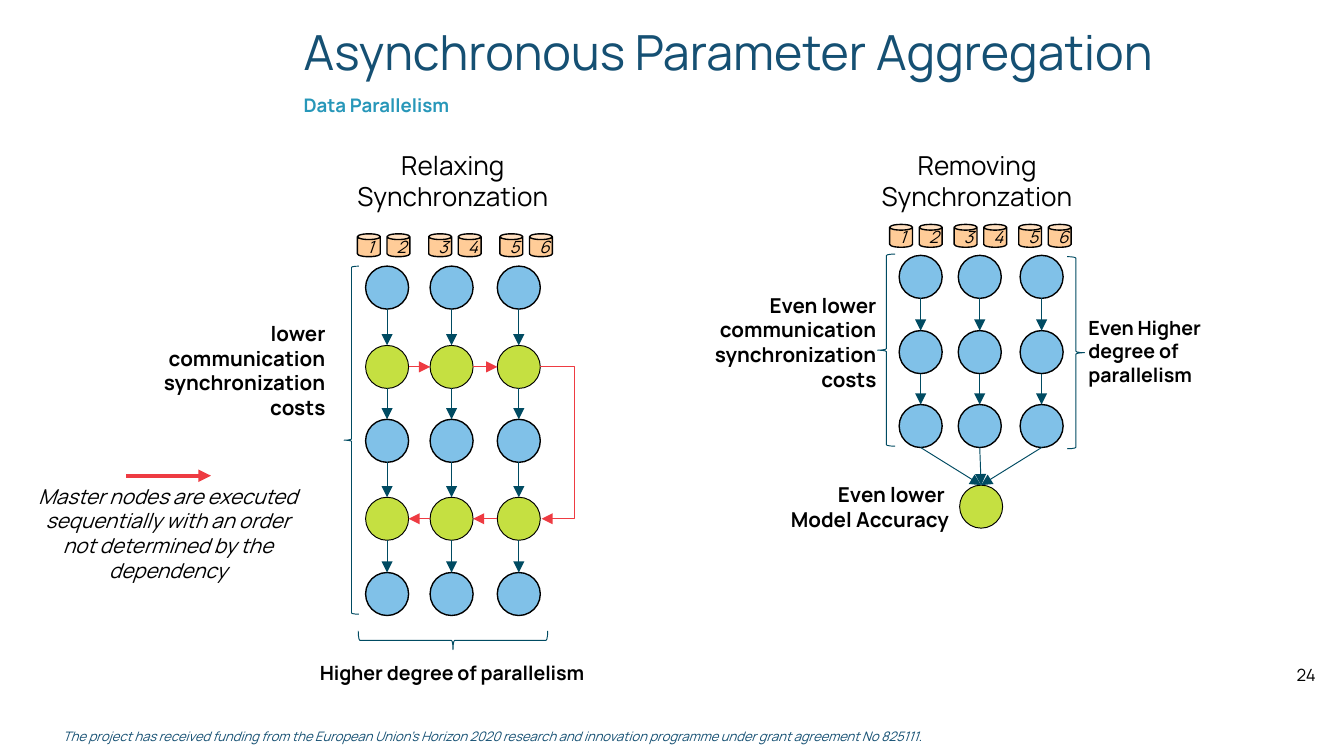
import lxml.etree
import pptx
import pptx.util
import pptx.dml.color
import pptx.enum.shapes
import pptx.enum.text
import pptx.oxml.ns

PX = 9144  # 100 px to the inch
FONT = "Manrope"
COLORS = {
    "navy": "155073", "cyan": "2797B9", "black": "000000", "blue": "80C1E8",
    "green": "C5E041", "peach": "FFCC98", "teal": "004B62", "red": "EE3B42",
}
RGB = {name: pptx.dml.color.RGBColor.from_string(c) for name, c in COLORS.items()}
SHAPE = pptx.enum.shapes.MSO_SHAPE
LINK = pptx.enum.shapes.MSO_CONNECTOR
ALIGN = pptx.enum.text.PP_ALIGN
LEFT, CENTER, RIGHT = ALIGN.LEFT, ALIGN.CENTER, ALIGN.RIGHT
qn = pptx.oxml.ns.qn

prs = pptx.Presentation()
prs.slide_width = 1000 * PX
prs.slide_height = prs.slide_width * 9 // 16
s = prs.slides.add_slide(prs.slide_layouts[1])


def add_preset(kind, x, y, w, h, fill, line, width):
    sp = s.shapes.add_shape(kind, x * PX, y * PX, w * PX, h * PX)
    sp.shadow.inherit = False
    if fill:
        sp.fill.solid()
        sp.fill.fore_color.rgb = RGB[fill]
    else:
        sp.fill.background()
    sp.line.color.rgb = RGB[line]
    sp.line.width = pptx.util.Pt(width)
    return sp


def add_arrow(x1, y1, x2, y2, color="teal", width=0.5, kind=LINK.STRAIGHT):
    cx = s.shapes.add_connector(kind, x1 * PX, y1 * PX, x2 * PX, y2 * PX)
    cx.line.color.rgb = RGB[color]
    cx.line.width = pptx.util.Pt(width)
    spPr = cx._element.spPr
    lxml.etree.SubElement(spPr.find(qn("a:ln")), qn("a:tailEnd"), type="triangle")
    lxml.etree.SubElement(spPr, qn("a:effectLst"))
    return cx


# Title and subtitle in the template's placeholders
for sp, box, text, size, color, bold, spacing in [
    (s.shapes.title, (226, 23, 670, 43), "Asynchronous Parameter Aggregation",
     25.9, "navy", False, 0.7),
    (s.placeholders[1], (226, 67, 661, 24), "Data Parallelism", 10, "cyan", True, 0.9),
]:
    sp.left, sp.top, sp.width, sp.height = [v * PX for v in box]
    tf = sp.text_frame
    tf.auto_size = pptx.enum.text.MSO_AUTO_SIZE.NONE
    tf.vertical_anchor = pptx.enum.text.MSO_ANCHOR.TOP
    tf.margin_left = 0
    p = tf.paragraphs[0]
    pPr = p._p.get_or_add_pPr()
    pPr.set("marL", "0")
    pPr.set("indent", "0")
    lxml.etree.SubElement(pPr, qn("a:buNone"))
    p.alignment = LEFT
    p.line_spacing = spacing
    p.space_before = 0
    r = p.add_run()
    r.text = text
    r.font.name, r.font.size, r.font.bold = FONT, pptx.util.Pt(size), bold
    r.font.color.rgb = RGB[color]

# Numbered data stores, two above each worker
for left, top, pitch in [(266, 174, 53), (662, 167, 48)]:
    for i in range(6):
        x = left + i // 2 * pitch + i % 2 * 22
        can = add_preset(SHAPE.CAN, x, top, 17, 17, "peach", "black", 0.75)
        p = can.text_frame.paragraphs[0]
        p.alignment = CENTER
        r = p.add_run()
        r.text = str(i + 1)
        r.font.name, r.font.size, r.font.italic = FONT, pptx.util.Pt(9), True
        r.font.color.rgb = RGB["black"]

# Worker columns; green rows are master nodes
D = 32
R = D // 2
relaxed_cols, relaxed_rows = [272, 320, 370], [198, 257, 312, 370, 426]
removed_cols, removed_rows = [669, 713, 759], [190, 246, 301]
for cols, rows, masters in [
    (relaxed_cols, relaxed_rows, [257, 370]),
    (removed_cols, removed_rows, []),
]:
    for x in cols:
        for y in rows:
            fill, width = ("green", 0.5) if y in masters else ("blue", 0.75)
            add_preset(SHAPE.OVAL, x, y, D, D, fill, "black", width)
        for y, following in zip(rows, rows[1:]):
            add_arrow(x + R, y + D, x + R, following)

# Master order: right along the upper row, left along the lower
upper, lower = 257 + R, 370 + R
for a, b in zip(relaxed_cols, relaxed_cols[1:]):
    add_arrow(a + D, upper, b, upper, "red")
    add_arrow(b, lower, a + D, lower, "red")
bend = add_arrow(402, upper, 403, lower, "red", kind=LINK.ELBOW)
guides = bend._element.spPr.prstGeom.get_or_add_avLst()
lxml.etree.SubElement(guides, qn("a:gd"), name="adj1", fmla="val 2600000")

# Single aggregation node of the removed variant
add_preset(SHAPE.OVAL, 714, 361, D, D, "green", "black", 0.5)
for x in removed_cols:
    add_arrow(x + R, removed_rows[-1] + D, 730, 361)

# Braces
for x, y, w, h, turn in [
    (653, 189, 13, 143, 180), (794, 191, 13, 143, 0),
    (256, 198, 11, 259, 180), (330, 406, 14, 141, 90),
]:
    add_preset(SHAPE.RIGHT_BRACE, x, y, w, h, None, "teal", 0.5).rotation = turn

# Legend arrow
add_arrow(94, 354, 157, 354, "red", 2.25)

# Labels: box, alignment, size, colour, bold, italic, paragraphs of runs
for box, align, size, color, bold, italic, paragraphs in [
    ((229, 106, 216, 57), CENTER, 14, "black", False, False, [["Relaxing Synchronzation"]]),
    ((619, 106, 216, 57), CENTER, 14, "black", False, False, [["Removing Synchronzation"]]),
    ((84, 234, 168, 84), RIGHT, 11, "black", True, False,
     [["lower communication synchronization costs"]]),
    ((494, 213, 168, 84), RIGHT, 11, "black", True, False,
     [["Even lower communication synchronization costs"]]),
    ((548, 354, 168, 47), RIGHT, 11, "black", True, False,
     [["Even lower "], ["Model Accuracy"]]),
    ((800, 230, 109, 63), LEFT, 10.5, "black", True, False,
     [["Even Higher degree of parallelism"]]),
    ((205, 487, 263, 28), CENTER, 10.5, "black", True, False,
     [["Higher degree of parallelism"]]),
    ((17, 355, 216, 84), CENTER, 11, "black", False, True,
     [["Master nodes are executed sequentially with an order not determined by the dependency"]]),
    ((955, 490, 38, 25), LEFT, 9, "black", False, False, [["24"]]),
    ((37, 537, 674, 22), LEFT, 7, "navy", False, True,
     [["The project has received funding from the European Union’s Horizon 2020 research "
       "and innovation programme under grant agreement No 825111", "."]]),
]:
    tf = s.shapes.add_textbox(*[v * PX for v in box]).text_frame
    tf.word_wrap = True
    for i, runs in enumerate(paragraphs):
        p = tf.add_paragraph() if i else tf.paragraphs[0]
        p.alignment = align
        for text in runs:
            r = p.add_run()
            r.text = text
            r.font.name, r.font.size = FONT, pptx.util.Pt(size)
            r.font.bold, r.font.italic = bold, italic
            r.font.color.rgb = RGB[color]
r.font.italic = False  # the footer's full stop is upright

prs.save("out.pptx")
